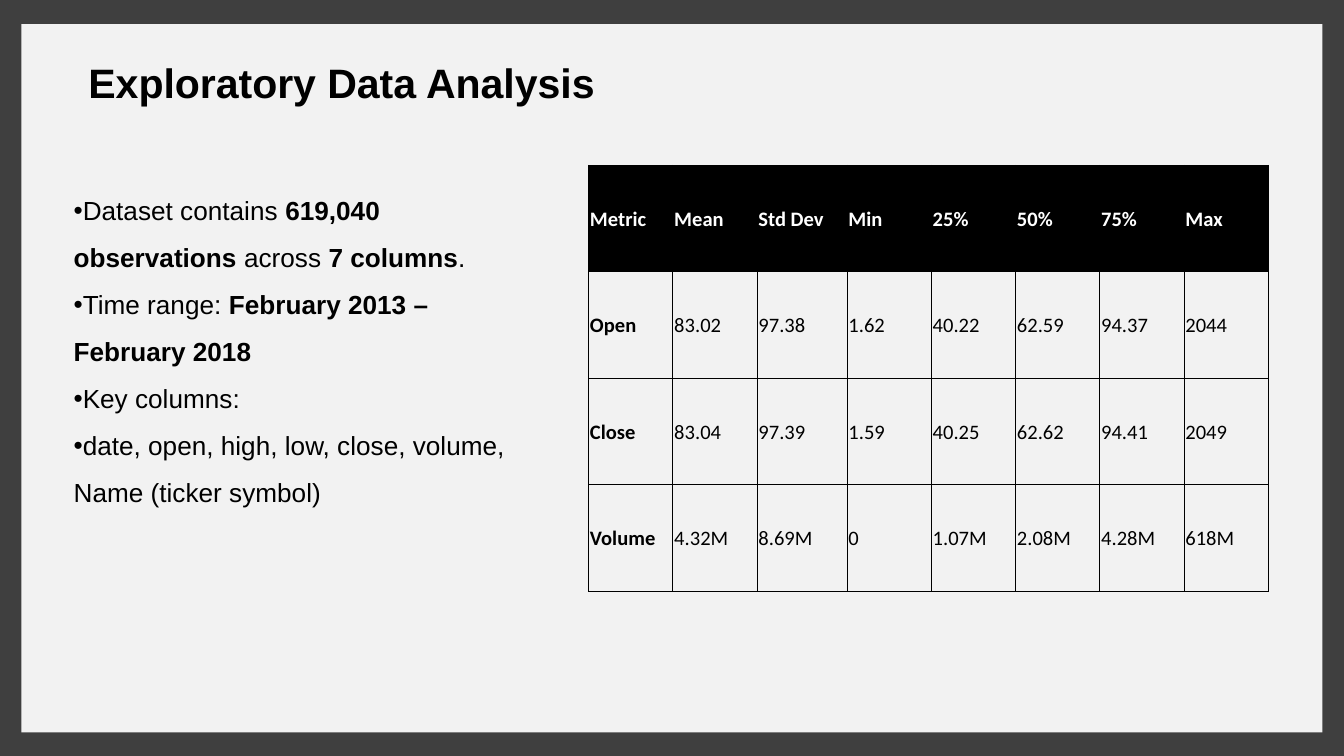
from lxml.etree import SubElement
from pptx import Presentation
from pptx.dml.color import RGBColor
from pptx.enum.shapes import MSO_SHAPE
from pptx.enum.text import MSO_ANCHOR
from pptx.oxml.ns import qn
from pptx.util import Inches, Pt

BLACK, WHITE, PANEL, FRAME = "000000", "FFFFFF", "F2F2F2", "3F3F3F"

FINDINGS = [
    [("Dataset contains ", False), ("619,040 observations", True),
     (" across ", False), ("7 columns", True), (".", False)],
    [("Time range: ", False), ("February 2013 – February 2018", True)],
    [("Key columns:", False)],
    [("date, open, high, low, close, volume, Name (ticker symbol)", False)],
]
STATISTICS = [
    ["Metric", "Mean", "Std Dev", "Min", "25%", "50%", "75%", "Max"],
    ["Open", "83.02", "97.38", "1.62", "40.22", "62.59", "94.37", "2044"],
    ["Close", "83.04", "97.39", "1.59", "40.25", "62.62", "94.41", "2049"],
    ["Volume", "4.32M", "8.69M", "0", "1.07M", "2.08M", "4.28M", "618M"],
]


def paint(fill, color):
    """Set a solid fill from a hex string."""
    fill.solid()
    fill.fore_color.rgb = RGBColor.from_string(color)


def style_font(font, name, size, color):
    """Set typeface, size and colour of a font."""
    font.name = name
    font.size = Pt(size)
    paint(font.fill, color)


def add_panel(slide):
    """Add the light panel inside the dark frame."""
    panel = slide.shapes.add_shape(
        MSO_SHAPE.RECTANGLE, Inches(0.16), Inches(0.18), Inches(9.68), Inches(5.27))
    panel.shadow.inherit = False
    paint(panel.fill, PANEL)
    panel.line.fill.background()


def add_text_frame(slide, left, top, width, height):
    """Add a wrapping text box and return its text frame."""
    frame = slide.shapes.add_textbox(
        Inches(left), Inches(top), Inches(width), Inches(height)).text_frame
    frame.word_wrap = True
    frame.vertical_anchor = MSO_ANCHOR.TOP
    frame.margin_left = frame.margin_right = Inches(0.1)
    frame.margin_top = frame.margin_bottom = Inches(0.1)
    return frame


def add_title(slide, title):
    """Add the slide heading."""
    frame = add_text_frame(slide, 0.56, 0.33, 8.67, 0.62)
    heading = frame.paragraphs[0]
    heading.text = title
    style_font(heading.font, "Arial", 22, BLACK)
    heading.font.bold = True


def add_findings(slide, findings):
    """Add the bulleted findings with bold key facts."""
    frame = add_text_frame(slide, 0.45, 1.23, 3.5, 3.83)
    for index, finding in enumerate(findings):
        paragraph = frame.paragraphs[0] if index == 0 else frame.add_paragraph()
        paragraph.line_spacing = 1.5
        properties = paragraph._p.get_or_add_pPr()
        properties.set("marL", "0")
        properties.set("indent", "0")
        SubElement(properties, qn("a:buFont"), typeface="Arial")
        SubElement(properties, qn("a:buChar"), char="•")
        style_font(paragraph.font, "Arial", 14, BLACK)
        for words, bold in finding:
            run = paragraph.add_run()
            run.text = words
            run.font.bold = bold


def add_borders(cell):
    """Draw thin black lines on all four sides of a cell."""
    properties = cell._tc.get_or_add_tcPr()
    for position, side in enumerate(("a:lnL", "a:lnR", "a:lnT", "a:lnB")):
        line = properties.makeelement(qn(side), {"w": str(Pt(0.5))})
        SubElement(SubElement(line, qn("a:solidFill")), qn("a:srgbClr"), val=BLACK)
        properties.insert(position, line)


def fill_cell(cell, value, is_header, is_label):
    """Write and style one table cell."""
    cell.vertical_anchor = MSO_ANCHOR.MIDDLE
    cell.margin_left = cell.margin_right = cell.margin_top = Inches(0.01)
    cell.margin_bottom = 0
    paragraph = cell.text_frame.paragraphs[0]
    paragraph.text = value
    style_font(paragraph.font, "Calibri", 11, WHITE if is_header else BLACK)
    paragraph.font.bold = is_header or is_label
    if is_header:
        paint(cell.fill, BLACK)
    else:
        cell.fill.background()
    add_borders(cell)


def add_statistics(slide, statistics):
    """Add the table of summary statistics."""
    width, deviation_width = Inches(5.06), Inches(0.67)
    table = slide.shapes.add_table(
        len(statistics), len(statistics[0]),
        Inches(4.38), Inches(1.23), width, Inches(3.17)).table
    shared_width = (width - deviation_width) // (len(statistics[0]) - 1)
    for heading, column in zip(statistics[0], table.columns):
        column.width = deviation_width if heading == "Std Dev" else shared_width
    for r, values in enumerate(statistics):
        for c, value in enumerate(values):
            fill_cell(table.cell(r, c), value, r == 0, c == 0)


def main():
    """Build the slide and save it."""
    deck = Presentation()
    deck.slide_width = Inches(10)
    deck.slide_height = deck.slide_width * 9 // 16
    slide = deck.slides.add_slide(deck.slide_layouts[6])
    paint(slide.background.fill, FRAME)
    add_panel(slide)
    add_title(slide, "Exploratory Data Analysis")
    add_findings(slide, FINDINGS)
    add_statistics(slide, STATISTICS)
    deck.save("out.pptx")


if __name__ == "__main__":
    main()
